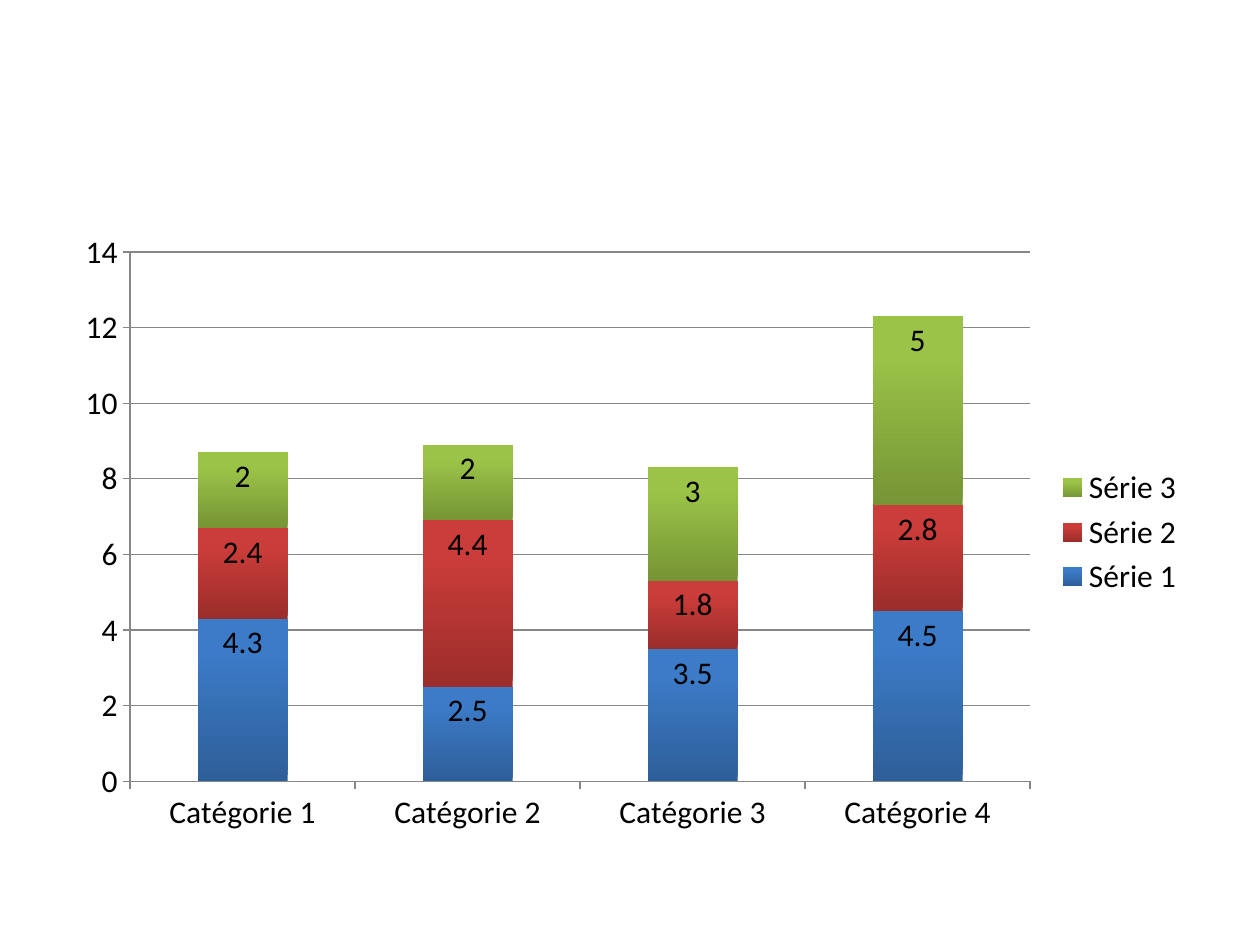
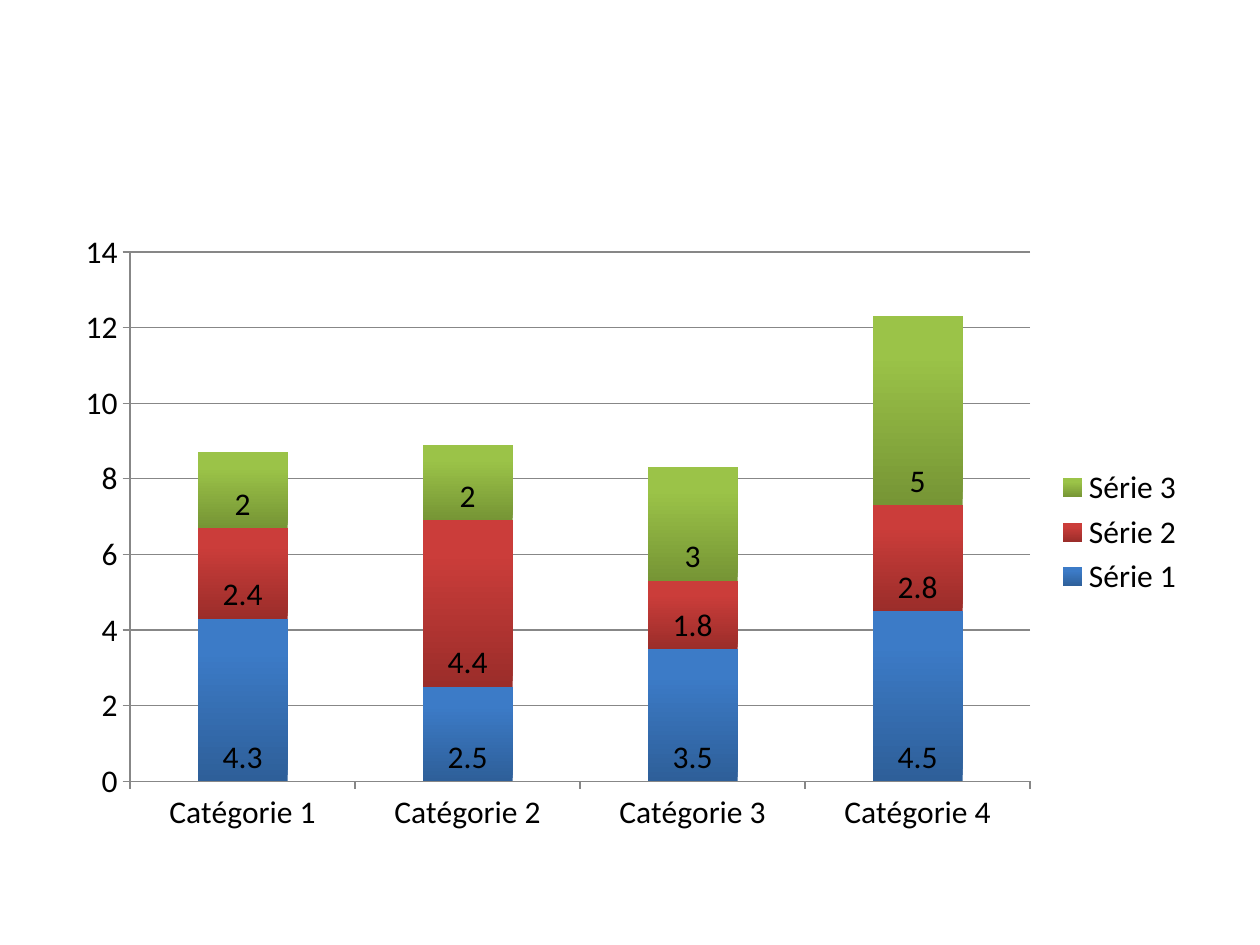
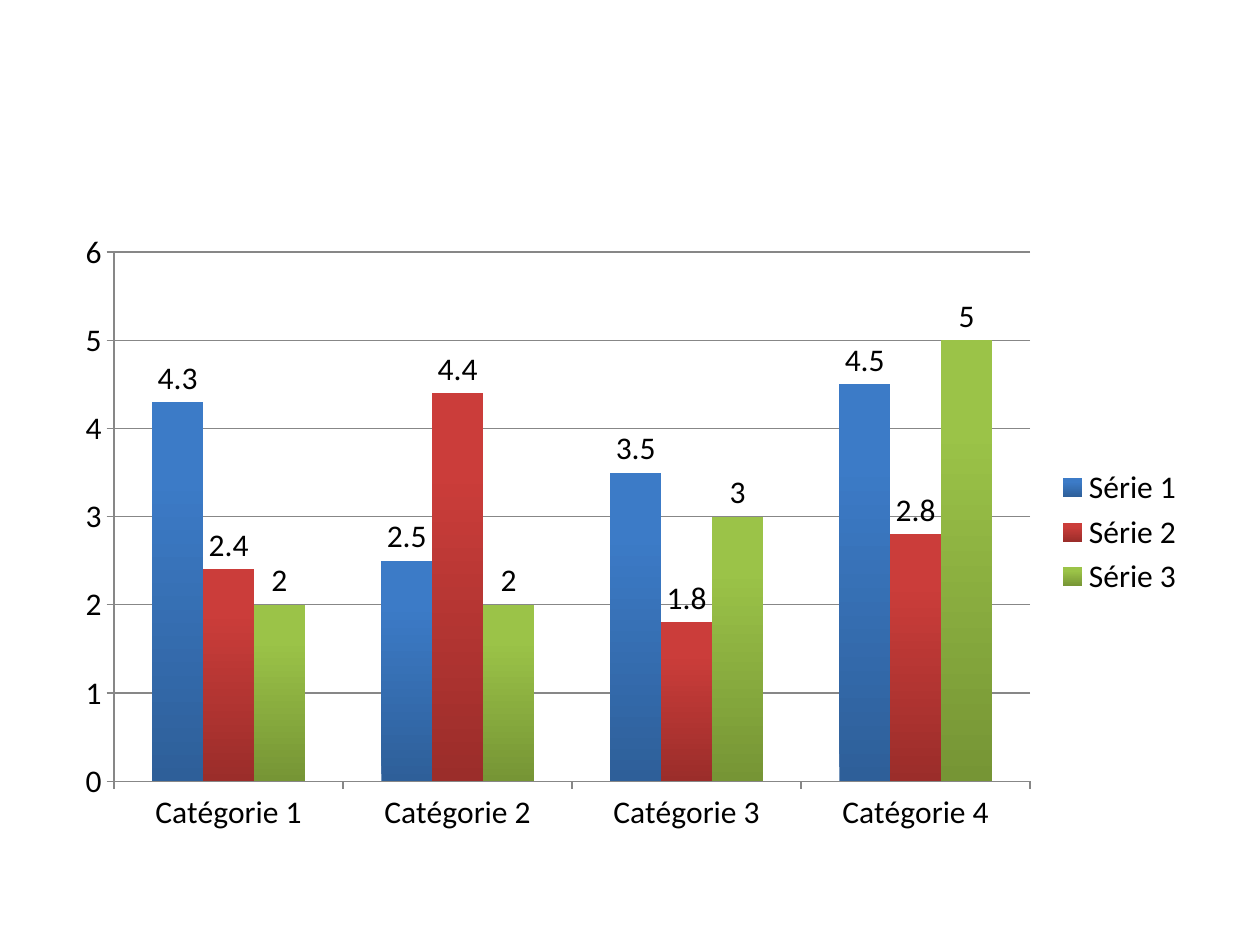
from pptx import Presentation
from pptx.chart.data import CategoryChartData
from pptx.dml.color import RGBColor
from pptx.enum.chart import (
    XL_CHART_TYPE, XL_LABEL_POSITION, XL_LEGEND_POSITION, XL_TICK_MARK,
)
from pptx.util import Inches, Pt

STACKED = XL_CHART_TYPE.COLUMN_STACKED
CLUSTERED = XL_CHART_TYPE.COLUMN_CLUSTERED
INSIDE_END = XL_LABEL_POSITION.INSIDE_END
INSIDE_BASE = XL_LABEL_POSITION.INSIDE_BASE
OUTSIDE_END = XL_LABEL_POSITION.OUTSIDE_END
LEGEND_RIGHT = XL_LEGEND_POSITION.RIGHT
TICK_OUTSIDE = XL_TICK_MARK.OUTSIDE
TICK_NONE = XL_TICK_MARK.NONE

BLACK = RGBColor(0x00, 0x00, 0x00)
GREY = RGBColor(0x87, 0x87, 0x87)
BLUE_DARK = RGBColor(0x2E, 0x5F, 0x99)
BLUE_LIGHT = RGBColor(0x3C, 0x7B, 0xC7)
RED_DARK = RGBColor(0x9B, 0x2D, 0x2A)
RED_LIGHT = RGBColor(0xCB, 0x3D, 0x3A)
GREEN_DARK = RGBColor(0x76, 0x95, 0x35)
GREEN_LIGHT = RGBColor(0x9B, 0xC3, 0x48)

CATEGORIES = [f"Catégorie {number}" for number in range(1, 5)]
SERIES = {
    "Série 1": (4.3, 2.5, 3.5, 4.5),
    "Série 2": (2.4, 4.4, 1.8, 2.8),
    "Série 3": (2, 2, 3, 5),
}
# Bottom and top colour of each series' bars
GRADIENTS = [
    (BLUE_DARK, BLUE_LIGHT),
    (RED_DARK, RED_LIGHT),
    (GREEN_DARK, GREEN_LIGHT),
]
# Chart type and label position, one slide each
CHARTS = [
    (STACKED, INSIDE_END),
    (STACKED, INSIDE_BASE),
    (CLUSTERED, OUTSIDE_END),
]


class ChartDeck:
    """Holds the shared style and the current slide."""

    font_name = "Calibri"
    font_size = Pt(18)
    line_width = Pt(0.75)

    def __init__(self):
        self.deck = Presentation()
        self.deck.slide_width = Inches(10)
        self.deck.slide_height = Inches(7.5)
        self.page = None

    def add_page(self):
        self.page = self.deck.slides.add_slide(self.deck.slide_layouts[6])

    def style_font(self, font):
        font.name = self.font_name
        font.size = self.font_size
        font.color.rgb = BLACK

    def style_line(self, line):
        line.color.rgb = GREY
        line.width = self.line_width

    def style_axis(self, axis, gridlines):
        axis.has_major_gridlines = gridlines
        if gridlines:
            self.style_line(axis.major_gridlines.format.line)
        axis.major_tick_mark = TICK_OUTSIDE
        axis.minor_tick_mark = TICK_NONE
        self.style_line(axis.format.line)

    def style_series(self, series, colors, label_position):
        # Gradient running from the foot of the bar upwards
        fill = series.format.fill
        fill.gradient()
        fill.gradient_angle = 90
        for stop, color, position in zip(fill.gradient_stops, colors, (0, 0.8)):
            stop.color.rgb = color
            stop.position = position
        series.invert_if_negative = False

        # Value labels
        labels = series.data_labels
        labels.show_value = True
        labels.position = label_position
        self.style_font(labels.font)

    def add_column_chart(self, chart_type, label_position):
        data = CategoryChartData()
        data.categories = CATEGORIES
        for name, values in SERIES.items():
            data.add_series(name, values)
        chart = self.page.shapes.add_chart(
            chart_type, Inches(0.5), Inches(1.75), Inches(9), Inches(4.95), data
        ).chart
        chart.has_title = False
        self.style_font(chart.font)

        # Legend and axes
        chart.has_legend = True
        chart.legend.position = LEGEND_RIGHT
        chart.legend.include_in_layout = False
        self.style_axis(chart.category_axis, gridlines=False)
        self.style_axis(chart.value_axis, gridlines=True)

        # Bars
        plot = chart.plots[0]
        plot.gap_width = 150
        plot.overlap = 100 if chart_type == STACKED else 0
        plot.vary_by_categories = False
        for series, colors in zip(plot.series, GRADIENTS):
            self.style_series(series, colors, label_position)


def main():
    builder = ChartDeck()
    for chart_type, label_position in CHARTS:
        builder.add_page()
        builder.add_column_chart(chart_type, label_position)
    builder.deck.save("out.pptx")


if __name__ == "__main__":
    main()
